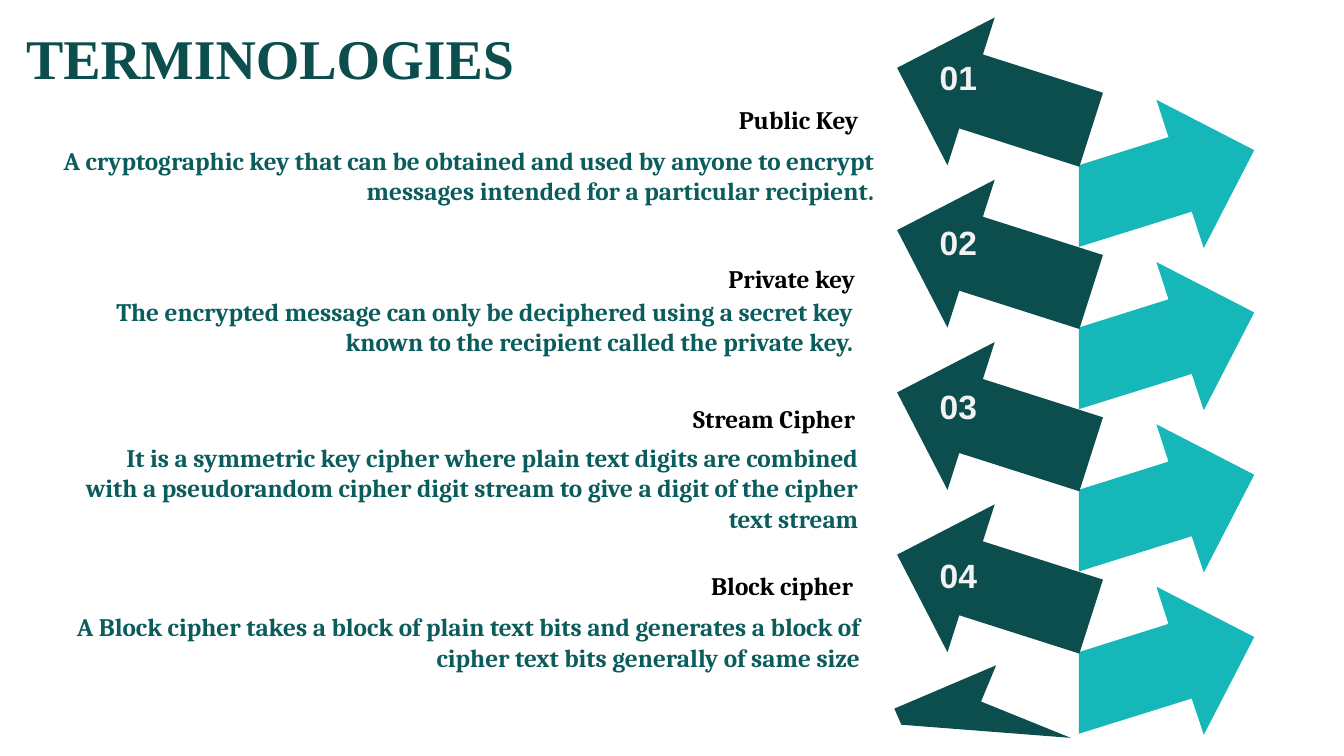
from pptx import Presentation
from pptx.dml.color import RGBColor
from pptx.enum.shapes import MSO_SHAPE
from pptx.enum.text import MSO_ANCHOR, PP_ALIGN
from pptx.util import Inches, Pt

LEFT_ARROW = MSO_SHAPE.LEFT_ARROW
TOP, MIDDLE = MSO_ANCHOR.TOP, MSO_ANCHOR.MIDDLE
LEFT, CENTER, RIGHT = PP_ALIGN.LEFT, PP_ALIGN.CENTER, PP_ALIGN.RIGHT

COLORS = {"dark": "0C4D4E", "teal": "16B7B8", "body": "0B5C5C",
          "heading": "000000", "number": "F2F2F2"}
FORMATS = {
    "title": {"name": "Times New Roman", "size": Pt(40), "bold": True},
    "number": {"name": "Arial", "size": Pt(24), "bold": True},
    "text": {"name": "Cambria", "size": Pt(18), "bold": True},
}

presentation = Presentation()
presentation.slide_width = Inches(13.33)
presentation.slide_height = Inches(7.5)
slide = presentation.slides.add_slide(presentation.slide_layouts[6])


def add_text(box, text, style, color, align, anchor=TOP):
    text_box = slide.shapes.add_textbox(*[Inches(length) for length in box])
    frame = text_box.text_frame
    frame.word_wrap = True
    frame.vertical_anchor = anchor
    paragraph = frame.paragraphs[0]
    paragraph.alignment = align
    run = paragraph.add_run()
    run.text = text
    run.font.color.rgb = RGBColor.from_string(COLORS[color])
    for attribute, value in FORMATS[style].items():
        setattr(run.font, attribute, value)


def add_outline(points, color, drop=0):
    corners = [(Inches(x), Inches(y + drop)) for x, y in points]
    builder = slide.shapes.build_freeform(*corners[0])
    builder.add_line_segments(corners[1:], close=True)
    shape = builder.convert_to_shape()
    shape.shadow.inherit = False
    shape.fill.solid()
    shape.fill.fore_color.rgb = RGBColor.from_string(COLORS[color])
    shape.line.fill.background()


# Zigzag of arrows: teal ones point right, dark ones point left
ARROW_STEP = 1.61
TEAL_ARROW = [(11.47, 0.99), (12.44, 1.49), (11.94, 2.46), (11.82, 2.1),
              (10.7, 2.45), (10.7, 1.64), (11.59, 1.36)]
CUT_ARROW = [(9.88, 6.6), (9.73, 6.96), (10.62, 7.32), (8.94, 7.19), (8.87, 7.03)]

for row in range(4):
    add_outline(TEAL_ARROW, "teal", row * ARROW_STEP)
for row in range(4):
    arrow = slide.shapes.add_shape(LEFT_ARROW, Inches(8.85), Inches(0.21 + row * ARROW_STEP),
                                   Inches(2.02), Inches(1.54))
    arrow.rotation = 17.7
    arrow.shadow.inherit = False
    arrow.fill.solid()
    arrow.fill.fore_color.rgb = RGBColor.from_string(COLORS["dark"])
    arrow.line.fill.background()
add_outline(CUT_ARROW, "dark")

# Numbers on the dark arrows
for number, top in enumerate([0.52, 2.15, 3.78, 5.46], start=1):
    add_text((9.1, top, 0.81, 0.5), f"{number:02}", "number", "number", CENTER)

# Terms with their definitions
TERMS = [
    ("Public Key", (3.84, 0.99, 4.77, 0.4),
     "A cryptographic key that can be obtained and used by anyone to encrypt "
     "messages intended for a particular recipient.", (0.16, 1.39, 8.61, 0.71)),
    ("Private key", (3.81, 2.56, 4.77, 0.4),
     "The encrypted message can only be deciphered using a secret key "
     "known to the recipient called the private key.", (0.32, 2.89, 8.24, 0.71)),
    ("Stream Cipher", (5.22, 3.95, 3.36, 0.4),
     "It is a symmetric key cipher where plain text digits are combined "
     "with a pseudorandom cipher digit stream to give a digit of the cipher "
     "text stream", (0.69, 4.34, 7.92, 1.01)),
    ("Block cipher", (3.79, 5.61, 4.77, 0.4),
     "A Block cipher takes a block of plain text bits and generates a block of "
     "cipher text bits generally of same size", (0.23, 6.02, 8.4, 0.71)),
]
for term, term_box, definition, definition_box in TERMS:
    add_text(term_box, term, "text", "heading", RIGHT)
    add_text(definition_box, definition, "text", "body", RIGHT)

# Title
add_text((0.16, 0.16, 6.93, 0.81), "TERMINOLOGIES", "title", "dark", LEFT, MIDDLE)

presentation.save("out.pptx")
